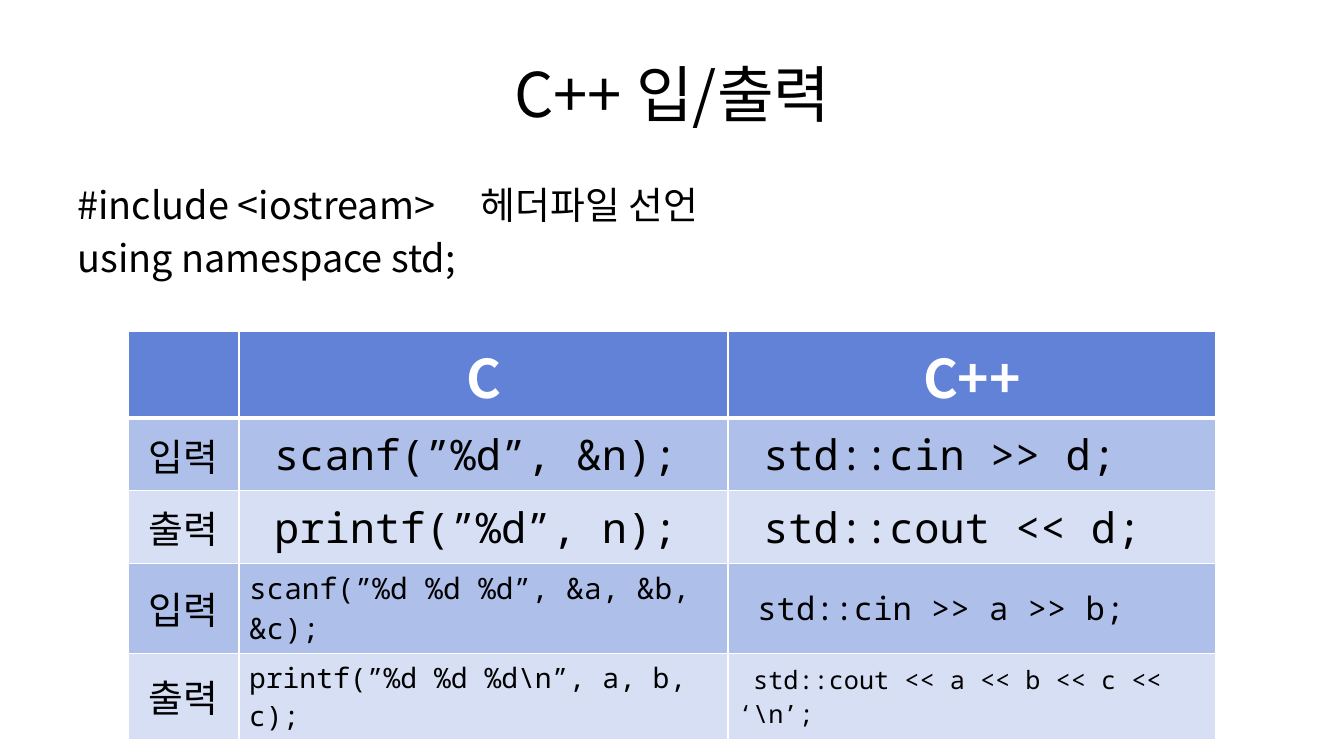
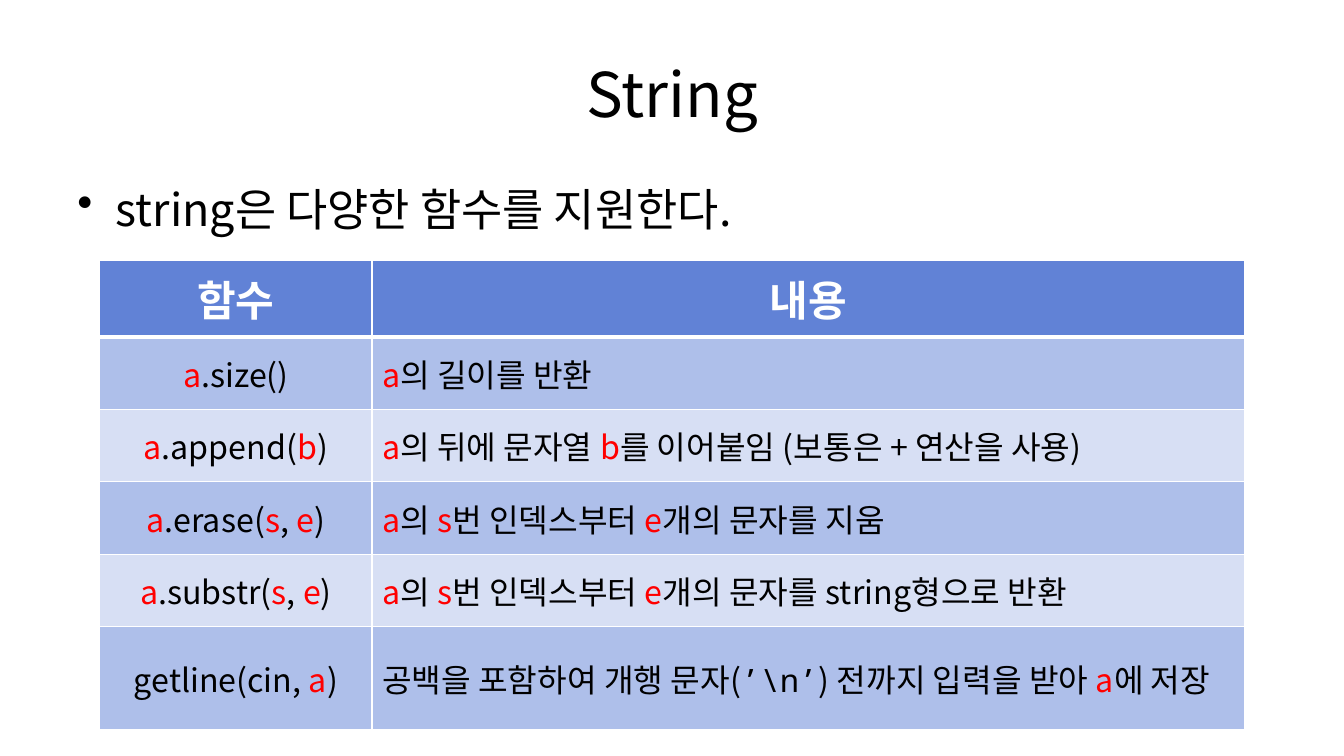
from lxml.etree import SubElement
from pptx import Presentation
from pptx.dml.color import RGBColor
from pptx.enum.text import MSO_ANCHOR as Anchor, PP_ALIGN as Align
from pptx.oxml import parse_xml
from pptx.oxml.ns import nsdecls, qn
from pptx.util import Pt

PX = 9144  # 100 px to the inch
SANS, MONO = "Noto Sans CJK KR", "Noto Sans Mono"
BLACK, WHITE, RED = "000000", "FFFFFF", "FF0000"
HEADER, BANDS = "6182D6", ("AEBFEA", "D7DFF4")
TITLE_BOX, BODY_BOX = (67, 30, 1200, 125), (67, 175, 1200, 495)
CENTER, LEFT = Align.CENTER, Align.LEFT
HEADER_RULE = (f'<a:lnB {nsdecls("a")} w="38100"><a:solidFill>'
               f'<a:srgbClr val="{WHITE}"/></a:solidFill></a:lnB>')


def rgb(value):
    return RGBColor.from_string(value)


def write(para, text, size, font=SANS, align=LEFT, color=BLACK, bold=False):
    """Fill a paragraph; a |x| piece is a red variable, a longer one a mono literal."""
    para.alignment = align
    para.font.size, para.font.name, para.font.bold = Pt(size), font, bold
    para.font.color.rgb = rgb(color)
    defaults = para._p.pPr.find(qn("a:defRPr"))
    SubElement(defaults, qn("a:ea")).set("typeface", font)
    for index, piece in enumerate(text.split("|")):
        if not piece:
            continue
        span = para.add_run()
        span.text = piece
        if index % 2 and len(piece) == 1:
            span.font.color.rgb = rgb(RED)
        elif index % 2:
            span.font.name = MONO


# Each cell: text, size, font, alignment
INPUT, OUTPUT = ("입력", 27, SANS, CENTER), ("출력", 27, SANS, CENTER)
io_rows = [
    [INPUT, (" scanf(”%d”, &n);", 30, MONO), (" std::cin >> d;", 30, MONO)],
    [OUTPUT, (" printf(”%d”, n);", 30, MONO), (" std::cout << d;", 30, MONO)],
    [INPUT, ("scanf(”%d %d %d”, &a, &b, &c);", 21, MONO), (" std::cin >> a >> b;", 23, MONO)],
    [OUTPUT, ("printf(”%d %d %d\\n”, a, b, c);", 20, MONO),
     (" std::cout << a << b << c << ‘\\n’;", 18, MONO)],
]
functions = [
    ("|a|.size()", "|a|의 길이를 반환"),
    ("|a|.append(|b|)", "|a|의 뒤에 문자열 |b|를 이어붙임 (보통은 + 연산을 사용)"),
    ("|a|.erase(|s|, |e|)", "|a|의 |s|번 인덱스부터 |e|개의 문자를 지움"),
    ("|a|.substr(|s|, |e|)", "|a|의 |s|번 인덱스부터 |e|개의 문자를 string형으로 반환"),
    ("getline(cin, |a|)", "공백을 포함하여 개행 문자(|’\\n’|) 전까지 입력을 받아 |a|에 저장"),
]
string_rows = [[(call, 23, SANS, CENTER), (meaning, 23)] for call, meaning in functions]

# title, body lines, body size, bulleted, table place, column widths, row heights,
# headings, heading size, rows
pages = [
    ("C++ 입/출력", ["#include <iostream>\t헤더파일 선언", "using namespace std;"], 27, False,
     (127, 329), (110, 485, 484), (86, 72, 72, 89, 86), ("", "C", "C++"), 38, io_rows),
    ("String", ["string은 다양한 함수를 지원한다."], 32, True,
     (99, 258), (270, 865), (76, 72, 72, 72, 72, 102), ("함수", "내용"), 30, string_rows),
]

deck = Presentation()
deck.slide_width, deck.slide_height = 1333 * PX, 750 * PX

for (title, lines, body_size, bulleted, place, widths, heights,
     headings, heading_size, rows) in pages:
    page = deck.slides.add_slide(deck.slide_layouts[6])

    title_frame = page.shapes.add_textbox(*(n * PX for n in TITLE_BOX)).text_frame
    title_frame.word_wrap = True
    title_frame.vertical_anchor = Anchor.MIDDLE
    write(title_frame.paragraphs[0], title, 44, align=CENTER)

    body = page.shapes.add_textbox(*(n * PX for n in BODY_BOX)).text_frame
    body.word_wrap = True
    for index, line in enumerate(lines):
        para = body.add_paragraph() if index else body.paragraphs[0]
        write(para, line, body_size)
        para.space_after = Pt(body_size * 0.2)
        if bulleted:
            props = para._p.pPr
            props.set("marL", str(38 * PX))
            props.set("indent", str(-38 * PX))
            bullet = parse_xml(f'<a:buChar {nsdecls("a")} char="•"/>')
            props.find(qn("a:defRPr")).addprevious(bullet)

    left, top = place
    table = page.shapes.add_table(len(heights), len(widths), left * PX, top * PX,
                                  sum(widths) * PX, sum(heights) * PX).table
    for column, width in zip(table.columns, widths):
        column.width = width * PX
    for index, (row, height) in enumerate(zip(table.rows, heights)):
        row.height = height * PX
        for col, cell in enumerate(row.cells):
            cell.vertical_anchor = Anchor.MIDDLE
            cell.fill.solid()
            para = cell.text_frame.paragraphs[0]
            if index:
                cell.fill.fore_color.rgb = rgb(BANDS[(index - 1) % 2])
                write(para, *rows[index - 1][col])
            else:
                cell.fill.fore_color.rgb = rgb(HEADER)
                cell._tc.tcPr.insert(0, parse_xml(HEADER_RULE))
                write(para, headings[col], heading_size, SANS, CENTER, WHITE, True)

deck.save("out.pptx")
